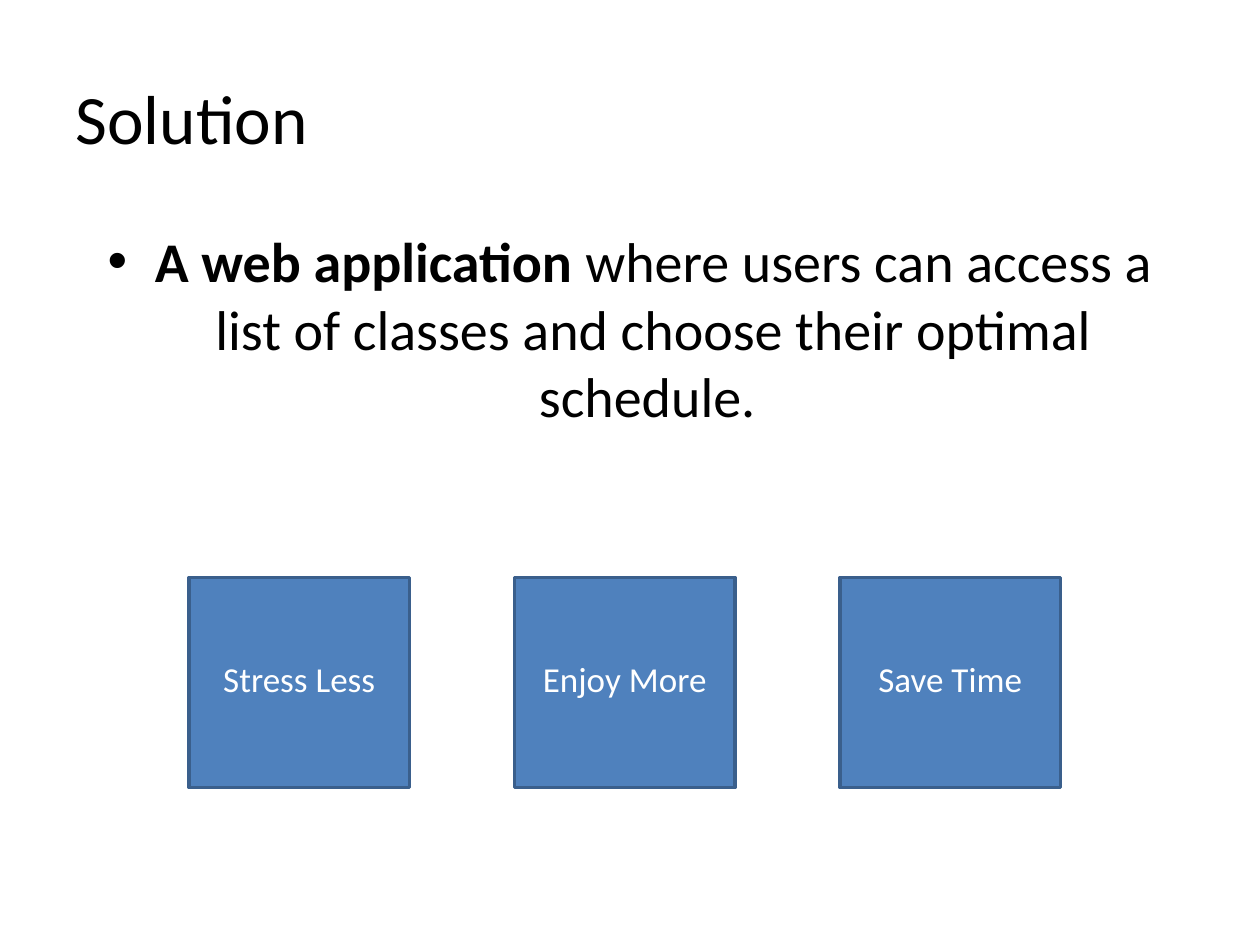
"""Build the Solution slide with its three benefit tiles."""
from dataclasses import dataclass

from pptx import Presentation
from pptx.dml.color import RGBColor
from pptx.enum.shapes import MSO_SHAPE as Shape
from pptx.enum.text import MSO_ANCHOR as Anchor, MSO_AUTO_SIZE as AutoSize, PP_ALIGN as Align
from pptx.util import Pt


@dataclass(frozen=True)
class Theme:
    font: str = "Calibri"
    ink: str = "000000"
    light: str = "FFFFFF"
    tile: str = "4F81BD"
    edge: str = "3A5F8C"
    title_size: float = 39.6
    body_size: float = 32
    caption_size: float = 20
    edge_width: float = 2


class SlideBuilder:
    def __init__(self, page, theme):
        self.page = page
        self.theme = theme

    def add_span(self, para, text, size, color, bold=False):
        span = para.add_run()
        span.text = text
        span.font.name = self.theme.font
        span.font.size = Pt(size)
        span.font.bold = bold
        span.font.color.rgb = RGBColor.from_string(color)

    def place(self, box, left, top, width, height):
        box.left, box.top, box.width, box.height = map(Pt, (left, top, width, height))
        box.text_frame.auto_size = AutoSize.NONE
        return box.text_frame.paragraphs[0]

    def title(self, text, *bounds):
        box = self.page.shapes.title
        para = self.place(box, *bounds)
        box.text_frame.vertical_anchor = Anchor.MIDDLE
        para.alignment = Align.LEFT
        self.add_span(para, text, self.theme.title_size, self.theme.ink)

    def bullet(self, spans, *bounds):
        para = self.place(self.page.placeholders[1], *bounds)
        para.alignment = Align.CENTER
        for text, bold in spans:
            self.add_span(para, text, self.theme.body_size, self.theme.ink, bold)

    def tile(self, *bounds):
        box = self.page.shapes.add_shape(Shape.RECTANGLE, *map(Pt, bounds))
        box.shadow.inherit = False
        box.fill.solid()
        box.fill.fore_color.rgb = RGBColor.from_string(self.theme.tile)
        box.line.color.rgb = RGBColor.from_string(self.theme.edge)
        box.line.width = Pt(self.theme.edge_width)

    def caption(self, text, *bounds):
        box = self.page.shapes.add_textbox(*map(Pt, bounds))
        frame = box.text_frame
        frame.word_wrap = True
        frame.auto_size = AutoSize.SHAPE_TO_FIT_TEXT
        para = frame.paragraphs[0]
        para.alignment = Align.CENTER
        self.add_span(para, text, self.theme.caption_size, self.theme.light)


def main():
    deck = Presentation()
    deck.slide_width, deck.slide_height = Pt(720), Pt(540)
    builder = SlideBuilder(deck.slides.add_slide(deck.slide_layouts[1]), Theme())

    builder.title("Solution", 36, 21.6, 648, 90)
    builder.bullet(
        [
            ("A web application", True),
            (" where users can access a list of classes and choose their optimal schedule. ", False),
        ],
        36, 126, 648, 356.4,
    )

    first_left, pitch, tile_width = 108, 186, 126
    benefits = ["Stress Less", "Enjoy More", "Save Time"]
    lefts = [first_left + pitch * index for index in range(len(benefits))]
    for left in lefts:
        builder.tile(left, 330, tile_width, 120)
    for left, benefit in zip(lefts, benefits):
        builder.caption(benefit, left, 372, tile_width, 31.5)

    deck.save("out.pptx")


if __name__ == "__main__":
    main()
